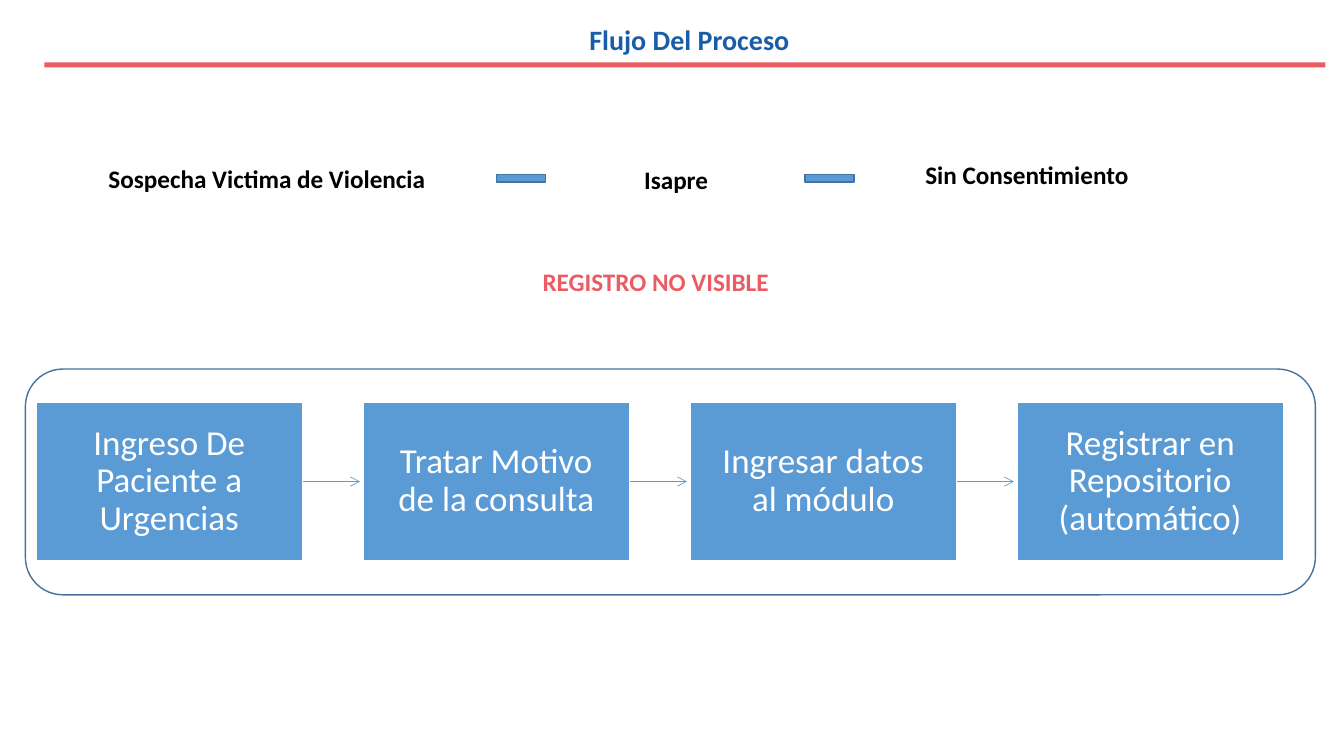
from dataclasses import dataclass

from lxml.etree import SubElement
from pptx import Presentation
from pptx.dml.color import RGBColor
from pptx.enum.shapes import MSO_CONNECTOR, MSO_SHAPE as Preset
from pptx.enum.text import MSO_ANCHOR, PP_ALIGN as Align
from pptx.oxml.ns import qn
from pptx.shapes.autoshape import Shape
from pptx.slide import Slide
from pptx.text.text import TextFrame
from pptx.util import Cm, Pt

COLORS = {
    "title": "195DA9",
    "red": "EA5C62",
    "blue": "5B9BD5",
    "outline": "43739E",
    "black": "000000",
    "white": "FFFFFF",
}
FONT = "Calibri"


@dataclass(frozen=True)
class Box:
    """A rectangle in centimetres."""
    left: float
    top: float
    width: float
    height: float

    def lengths(self) -> tuple[Cm, Cm, Cm, Cm]:
        return Cm(self.left), Cm(self.top), Cm(self.width), Cm(self.height)


@dataclass(frozen=True)
class Label:
    text: str
    box: Box
    color: str = "black"
    size: int = 18
    wrap: bool = True


LABELS = [
    Label("Flujo Del Proceso", Box(14.58, 0.43, 5.59, 1.12), "title", 20, wrap=False),
    Label("Sospecha Victima de Violencia", Box(2.08, 3.99, 9.3, 1.02)),
    Label("Isapre", Box(15.34, 4.01, 3.4, 1.02)),
    Label("Sin Consentimiento", Box(23.06, 3.89, 5.64, 1.02)),
    Label("REGISTRO NO VISIBLE", Box(12.45, 6.58, 8.15, 1.02), "red"),
]
TITLE_RULE = Box(1.12, 1.57, 32.28, 0.13)
FRAME = Box(0.64, 9.3, 32.51, 5.69)
SEPARATORS = [Box(left, 4.09, 1.68, 0.81) for left in (12.29, 20.07)]

STEPS = [
    "Ingreso De Paciente a Urgencias",
    "Tratar Motivo de la consulta",
    "Ingresar datos al módulo",
    "Registrar en Repositorio (automático)",
]
FIRST_STEP = Box(0.91, 10.13, 6.71, 4.01)
STEP_PITCH = 8.24
ARROW_LENGTH = 1.45
STEP_INSET = Cm(0.48)


def rgb(name: str) -> RGBColor:
    return RGBColor.from_string(COLORS[name])


def write(frame: TextFrame, text: str, size: int, color: str, bold: bool) -> None:
    para = frame.paragraphs[0]
    para.text = text
    para.alignment = Align.CENTER
    para.font.name = FONT
    para.font.size = Pt(size)
    para.font.bold = bold
    para.font.color.rgb = rgb(color)


def add_preset(page: Slide, preset: Preset, box: Box,
               fill: str | None = None, line: str | None = None) -> Shape:
    shape = page.shapes.add_shape(preset, *box.lengths())
    shape.shadow.inherit = False
    if fill:
        shape.fill.solid()
        shape.fill.fore_color.rgb = rgb(fill)
    else:
        shape.fill.background()
    if line:
        shape.line.color.rgb = rgb(line)
        shape.line.width = Pt(1)
    else:
        shape.line.fill.background()
    return shape


def add_label(page: Slide, label: Label) -> None:
    frame = page.shapes.add_textbox(*label.box.lengths()).text_frame
    frame.word_wrap = label.wrap
    write(frame, label.text, label.size, label.color, bold=True)


def add_step(page: Slide, text: str, box: Box) -> None:
    frame = add_preset(page, Preset.RECTANGLE, box, "blue", "white").text_frame
    frame.word_wrap = True
    frame.vertical_anchor = MSO_ANCHOR.MIDDLE
    frame.margin_left = frame.margin_right = STEP_INSET
    frame.margin_top = frame.margin_bottom = STEP_INSET
    write(frame, text, 25, "white", bold=False)
    frame.paragraphs[0].line_spacing = 0.9


def add_arrow(page: Slide, left: float, middle: float) -> None:
    arrow = page.shapes.add_connector(
        MSO_CONNECTOR.STRAIGHT,
        Cm(left), Cm(middle), Cm(left + ARROW_LENGTH), Cm(middle))
    arrow.line.color.rgb = rgb("blue")
    arrow.line.width = Pt(0.5)
    SubElement(arrow.line._get_or_add_ln(), qn("a:tailEnd"), type="arrow")
    SubElement(arrow._element.spPr, qn("a:effectLst"))


def add_process(page: Slide) -> None:
    """Draws the row of steps with an arrow between neighbours."""
    first = FIRST_STEP
    for index, text in enumerate(STEPS):
        left = first.left + index * STEP_PITCH
        if index < len(STEPS) - 1:
            add_arrow(page, left + first.width, first.top + first.height / 2)
        add_step(page, text, Box(left, first.top, first.width, first.height))


def main() -> None:
    deck = Presentation()
    deck.slide_width, deck.slide_height = Cm(33.87), Cm(19.05)
    page = deck.slides.add_slide(deck.slide_layouts[6])

    add_preset(page, Preset.RECTANGLE, TITLE_RULE, fill="red")
    add_process(page)
    for label in LABELS:
        add_label(page, label)
    add_preset(page, Preset.ROUNDED_RECTANGLE, FRAME, line="outline")
    for box in SEPARATORS:
        add_preset(page, Preset.MATH_MINUS, box, "blue", "outline")

    deck.save("out.pptx")


if __name__ == "__main__":
    main()
